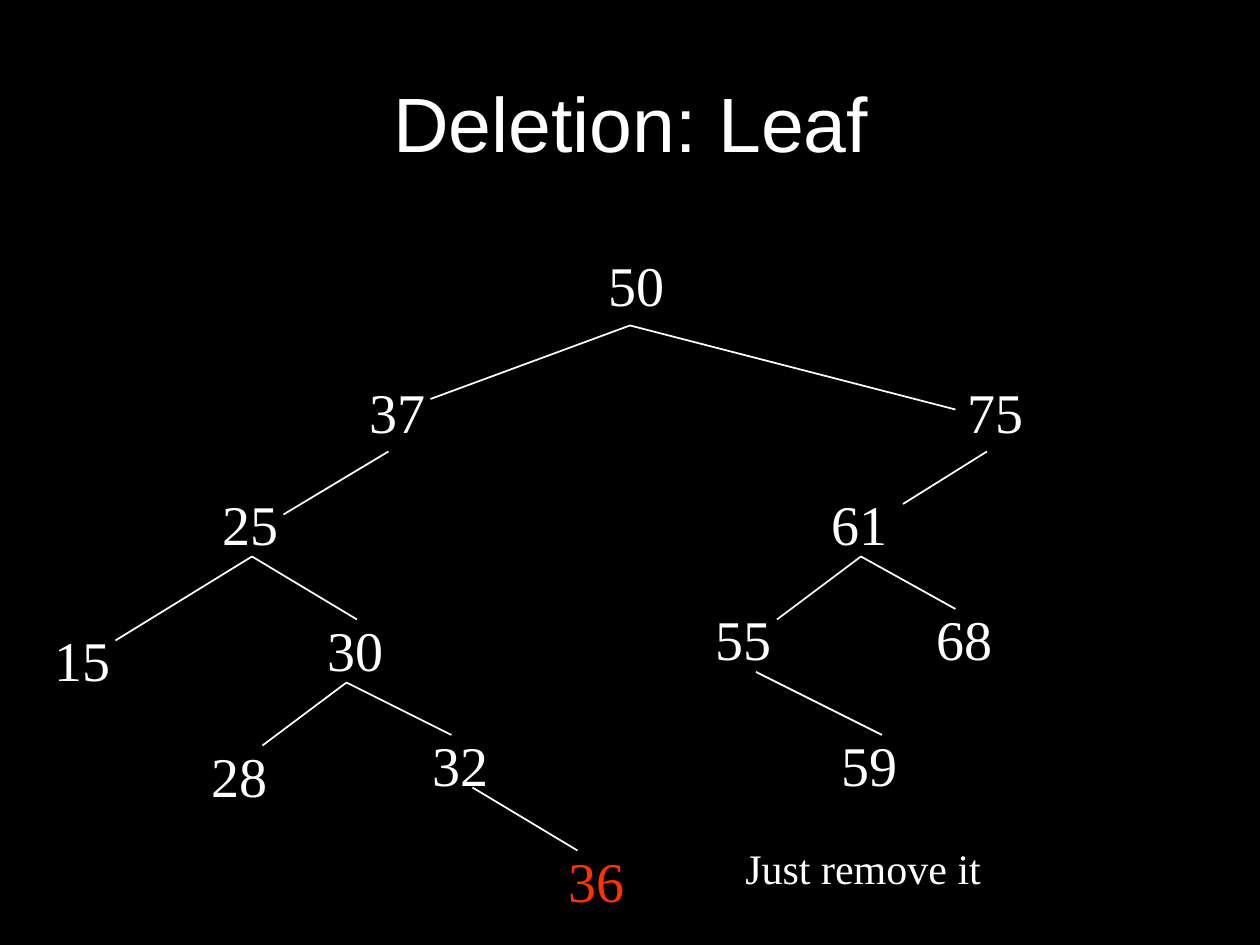
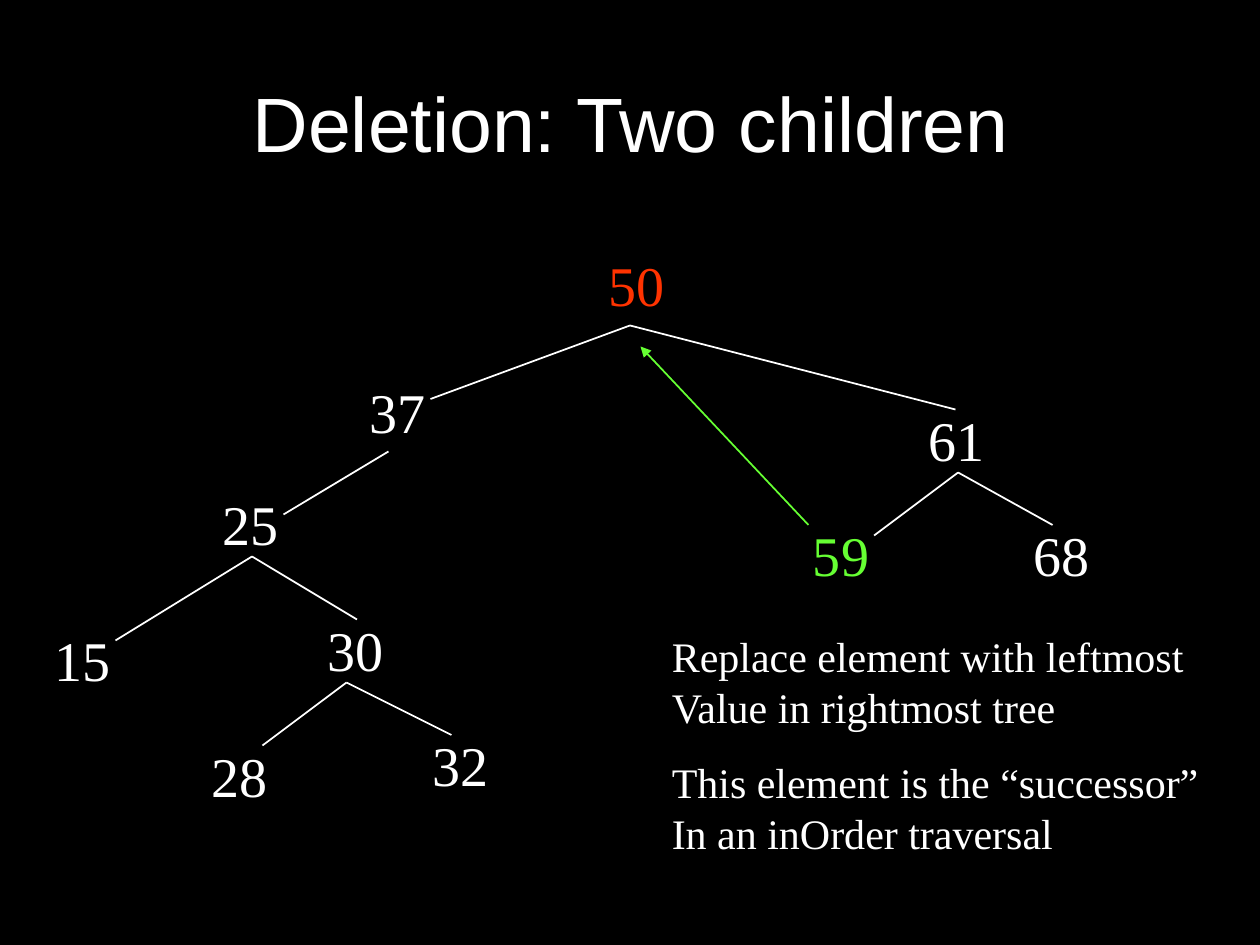
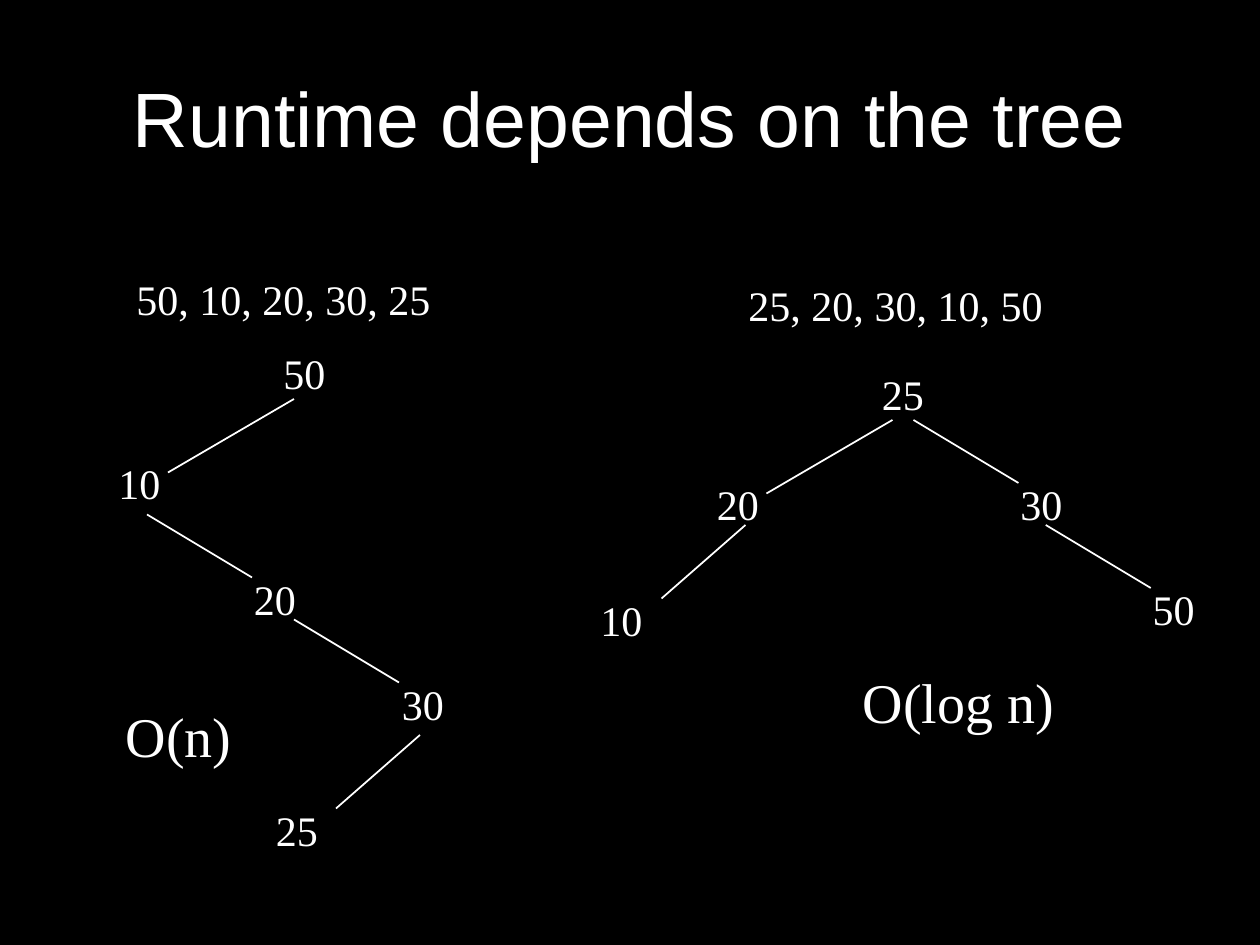
from lxml import etree
from pptx import Presentation
from pptx.dml.color import RGBColor
from pptx.enum.shapes import MSO_CONNECTOR
from pptx.enum.text import MSO_ANCHOR, MSO_AUTO_SIZE, PP_ALIGN
from pptx.oxml.ns import qn
from pptx.util import Inches, Pt

COLORS = {"background": "000000", "text": "FFFFFF", "deleted": "FF3300", "successor": "66FF33"}
TITLE_FONT, BODY_FONT = "Arial", "Times New Roman"
TITLE_SIZE, LARGE, SMALL = 44, 32, 24
CELLS_PER_INCH = 12
NODE_WIDTH = {LARGE: 7.7, SMALL: 6.4}
LINE_HEIGHT = {LARGE: 7.2, SMALL: 5.6}
NEXT_LINE = 4.5
DELETION_TITLE = (1.8, 4, 116.6, 15.1)
RUNTIME_TITLE = (6, 3.6, 108, 15)

ROOT_AND_LEFT = {
    "nodes": [("50", 56.8, 23.3), ("37", 34, 35.4), ("25", 20, 46), ("15", 4, 59),
              ("30", 30, 58), ("28", 19, 70), ("32", 40, 69)],
    "edges": [(60, 31, 41, 38), (60, 31, 91, 39), (37, 43, 27, 49), (24, 53, 11, 61),
              (24, 53, 34, 59), (33, 65, 25, 71), (33, 65, 43, 70)],
}
LEAF_BRANCHES = {
    "nodes": [("75", 91, 35.4), ("36", 53, 80), ("59", 79, 69)],
    "edges": [(94, 43, 86, 48), (72, 64, 84, 70), (45, 75, 55, 81)],
}
UNBALANCED = {
    "nodes": [("50", 25.8, 32.5), ("10", 10.1, 43), ("20", 23, 54), ("30", 37.1, 64),
              ("25", 25.1, 76)],
    "edges": [(28, 38, 16, 45), (24, 55, 14, 49), (38, 65, 28, 59), (40, 70, 32, 77)],
}
BALANCED = {
    "nodes": [("25", 82.8, 34.5), ("20", 67.1, 45), ("30", 96, 45), ("50", 108.6, 55),
              ("10", 56, 56)],
    "edges": [(85, 40, 73, 47), (97, 46, 87, 40), (109.6, 56, 99.6, 50), (71, 50, 63, 57)],
}


def subtree_of_61(left_child, right=0, down=0):
    nodes = [("61", 78, 46), (left_child, 67, 57), ("68", 88, 57)]
    edges = [(82, 53, 74, 59), (82, 53, 91, 58)]
    return {
        "nodes": [(label, x + right, y + down) for label, x, y in nodes],
        "edges": [(x1 + right, y1 + down, x2 + right, y2 + down) for x1, y1, x2, y2 in edges],
    }


SLIDES = [
    {
        "title": "Deletion: Leaf", "title_box": DELETION_TITLE, "node_size": LARGE,
        "trees": [ROOT_AND_LEFT, LEAF_BRANCHES, subtree_of_61("55")],
        "highlights": {"36": "deleted"},
        "notes": [(["Just remove it"], 69.8, 79.6, 24.8, SMALL)],
    },
    {
        "title": "Deletion: Two children", "title_box": DELETION_TITLE, "node_size": LARGE,
        "trees": [ROOT_AND_LEFT, subtree_of_61("59", 9.25, -8)],
        "highlights": {"50": "deleted", "59": "successor"},
        "notes": [
            (["Replace element with leftmost", "Value in rightmost tree"], 62.8, 59.5, 51.1, SMALL),
            (["This element is the “successor”", "In an inOrder traversal"], 62.8, 71.5, 52.6, SMALL),
        ],
        "arrow": (77, 50, 61, 33),
    },
    {
        "title": "Runtime depends on the tree", "title_box": RUNTIME_TITLE, "node_size": SMALL,
        "trees": [UNBALANCED, BALANCED],
        "notes": [
            (["50, 10, 20, 30, 25"], 11.8, 25.5, 30.4, SMALL),
            (["25, 20, 30, 10, 50"], 70.1, 26, 30.4, SMALL),
            (["O(n)"], 10.8, 66.2, 12.5, LARGE),
            (["O(log n)"], 81, 63, 20.6, LARGE),
        ],
    },
]


def cells(*values):
    return [Inches(value / CELLS_PER_INCH) for value in values]


def rgb(name):
    return RGBColor.from_string(COLORS[name])


def add_text(shapes, lines, box, size, color="text", font=BODY_FONT):
    frame = shapes.add_textbox(*cells(*box)).text_frame
    frame.word_wrap = False
    frame.auto_size = MSO_AUTO_SIZE.NONE
    frame.text = "\n".join(lines)
    for paragraph in frame.paragraphs:
        paragraph.font.name = font
        paragraph.font.size = Pt(size)
        paragraph.font.color.rgb = rgb(color)
    return frame


def add_title(slide, title, box):
    frame = add_text(slide.shapes, [title], box, TITLE_SIZE, font=TITLE_FONT)
    frame.word_wrap = True
    frame.vertical_anchor = MSO_ANCHOR.MIDDLE
    frame.paragraphs[0].alignment = PP_ALIGN.CENTER


def add_line(shapes, ends, color="text"):
    connector = shapes.add_connector(MSO_CONNECTOR.STRAIGHT, *cells(*ends))
    connector.line.color.rgb = rgb(color)
    connector.line.width = Pt(1)
    etree.SubElement(connector._element.spPr, qn("a:effectLst"))
    return connector


def add_arrow(shapes, ends, color):
    line = add_line(shapes, ends, color).line._get_or_add_ln()
    etree.SubElement(line, qn("a:tailEnd"), type="triangle")


def add_tree(slide, tree, size, highlights):
    shapes = slide.shapes.add_group_shape().shapes
    for label, x, y in tree["nodes"]:
        box = (x, y, NODE_WIDTH[size], LINE_HEIGHT[size])
        add_text(shapes, [label], box, size, highlights.get(label, "text"))
    for ends in tree["edges"]:
        add_line(shapes, ends)


def main():
    presentation = Presentation()
    presentation.slide_width, presentation.slide_height = Inches(10), Inches(7.5)
    for content in SLIDES:
        slide = presentation.slides.add_slide(presentation.slide_layouts[6])
        slide.background.fill.solid()
        slide.background.fill.fore_color.rgb = rgb("background")
        add_title(slide, content["title"], content["title_box"])
        for tree in content["trees"]:
            add_tree(slide, tree, content["node_size"], content.get("highlights", {}))
        for lines, x, y, width, size in content["notes"]:
            height = LINE_HEIGHT[size] + NEXT_LINE * (len(lines) - 1)
            add_text(slide.shapes, lines, (x, y, width, height), size)
        if "arrow" in content:
            add_arrow(slide.shapes, content["arrow"], "successor")
    presentation.save("out.pptx")


if __name__ == "__main__":
    main()
